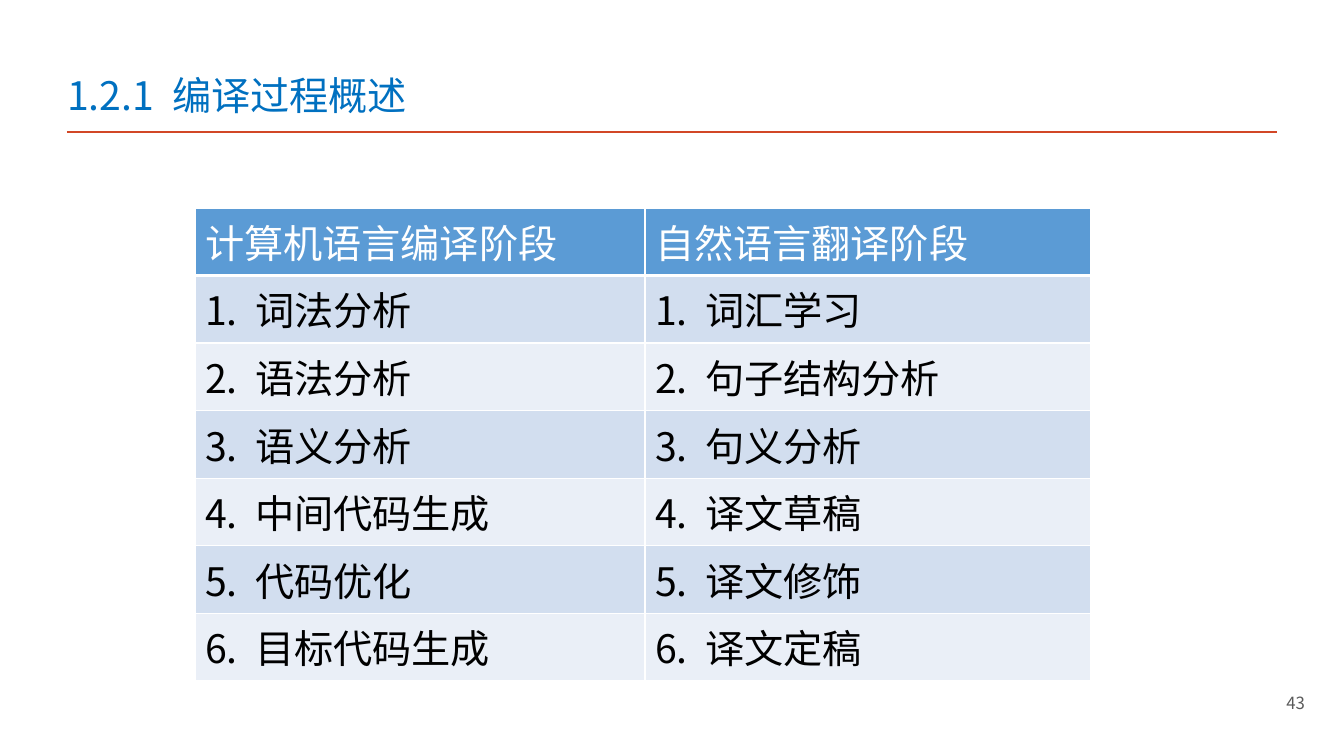
from dataclasses import dataclass

from pptx import Presentation
from pptx.dml.color import RGBColor
from pptx.enum.shapes import MSO_CONNECTOR
from pptx.enum.text import MSO_ANCHOR, MSO_AUTO_SIZE, PP_ALIGN
from pptx.oxml.ns import qn
from pptx.util import Pt
from lxml.etree import SubElement

EMU_PER_PX = 914400 / 100.8


@dataclass(frozen=True)
class Theme:
    font: str = "Noto Sans CJK SC"
    title: str = "0070C0"
    rule: str = "D24726"
    header: str = "5B9BD5"
    bands: tuple = ("D2DEEF", "EAEFF7")
    light: str = "FFFFFF"
    dark: str = "000000"
    number: str = "595959"
    main_size: int = 28
    small_size: int = 12


THEME = Theme()

STAGES = [
    ("计算机语言编译阶段", "自然语言翻译阶段"),
    ("词法分析", "词汇学习"),
    ("语法分析", "句子结构分析"),
    ("语义分析", "句义分析"),
    ("中间代码生成", "译文草稿"),
    ("代码优化", "译文修饰"),
    ("目标代码生成", "译文定稿"),
]


def px(*lengths):
    return [round(length * EMU_PER_PX) for length in lengths]


def rgb(colour):
    return RGBColor.from_string(colour)


def set_all(target, formats):
    for name, value in formats.items():
        setattr(target, name, value)


def write(frame, text, colour, size=THEME.main_size, align=PP_ALIGN.LEFT, tab=None):
    """Fill the first paragraph; tab is the px offset of its tab stop."""
    paragraph = frame.paragraphs[0]
    paragraph.alignment = align
    if tab:
        stops = SubElement(paragraph._p.get_or_add_pPr(), qn("a:tabLst"))
        SubElement(stops, qn("a:tab"), pos=str(px(tab)[0]), algn="l")
    run = paragraph.add_run()
    run.text = text
    set_all(run.font, {"name": THEME.font, "size": Pt(size), "bold": False})
    run.font.color.rgb = rgb(colour)
    SubElement(run._r.get_or_add_rPr(), qn("a:ea"), typeface=THEME.font)


def add_title(slide, number, heading):
    title = slide.shapes.title
    left, top, width, height, bottom_inset = px(57, 49, 758, 71, 2)
    set_all(title, {"left": left, "top": top, "width": width, "height": height})
    set_all(title.text_frame, {
        "vertical_anchor": MSO_ANCHOR.BOTTOM,
        "auto_size": MSO_AUTO_SIZE.NONE,
        "margin_bottom": bottom_inset,
    })
    write(title.text_frame, f"{number}\t{heading}", THEME.title, tab=105)


def add_rule(slide):
    rule = slide.shapes.add_connector(MSO_CONNECTOR.STRAIGHT, *px(67, 132, 1277, 132))
    rule.line.color.rgb = rgb(THEME.rule)
    rule.line.width = Pt(2)
    SubElement(rule._element.spPr, qn("a:effectLst"))


def add_borders(cell, top, bottom):
    """Draw light cell edges, with the top and bottom widths in points."""
    edges = {"lnL": 1, "lnR": 1, "lnT": top, "lnB": bottom}
    for edge, width in edges.items():
        line = SubElement(cell._tc.get_or_add_tcPr(), qn(f"a:{edge}"), w=str(Pt(width)))
        SubElement(SubElement(line, qn("a:solidFill")), qn("a:srgbClr"), val=THEME.light)


def add_stage_table(slide):
    table = slide.shapes.add_table(len(STAGES), 2, *px(195, 208, 896, 473)).table
    for column, width in zip(table.columns, px(450, 446)):
        column.width = width
    for step, stages in enumerate(STAGES):
        for side, stage in enumerate(stages):
            cell = table.cell(step, side)
            add_borders(cell, top=3 if step == 1 else 1, bottom=1 if step else 3)
            cell.fill.solid()
            if step:
                cell.fill.fore_color.rgb = rgb(THEME.bands[(step - 1) % 2])
                write(cell.text_frame, f"{step}.\t{stage}", THEME.dark, tab=50)
            else:
                cell.fill.fore_color.rgb = rgb(THEME.header)
                write(cell.text_frame, stage, THEME.light)


def add_page_number(slide, number):
    frame = slide.shapes.add_textbox(*px(923, 693, 392, 40)).text_frame
    set_all(frame, {"word_wrap": True, "margin_top": 0})
    write(frame, str(number), THEME.number, THEME.small_size, PP_ALIGN.RIGHT)


def main():
    deck = Presentation()
    deck.slide_width, deck.slide_height = px(1344, 756)
    slide = deck.slides.add_slide(deck.slide_layouts[5])
    add_rule(slide)
    add_title(slide, "1.2.1", "编译过程概述")
    add_page_number(slide, 43)
    add_stage_table(slide)
    deck.save("out.pptx")


if __name__ == "__main__":
    main()
